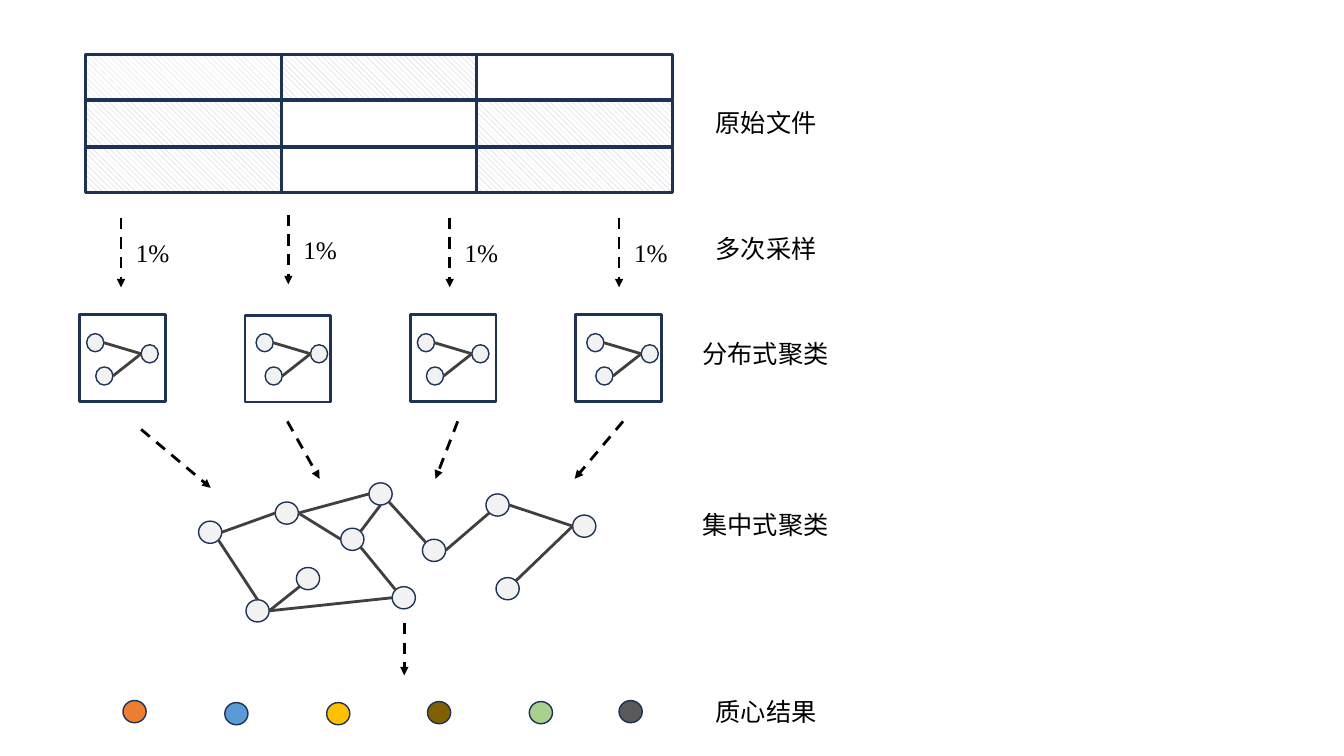
"""Build the slide on sampled, distributed and centralised clustering."""
from dataclasses import dataclass
from itertools import product
from math import copysign, sqrt

from lxml.etree import SubElement
from pptx import Presentation
from pptx.dml.color import RGBColor
from pptx.enum.dml import MSO_LINE, MSO_PATTERN
from pptx.enum.shapes import MSO_CONNECTOR, MSO_SHAPE
from pptx.enum.text import MSO_AUTO_SIZE as AutoSize
from pptx.oxml.ns import qn
from pptx.shapes.autoshape import Shape
from pptx.shapes.connector import Connector
from pptx.slide import Slide
from pptx.util import Pt

EMU_PER_PX = 9144


@dataclass(frozen=True)
class Theme:
    outline: str = "1E3256"
    edge: str = "404040"
    ink: str = "000000"
    paper: str = "FFFFFF"
    node: str = "F2F2F2"
    hatch: str = "BFBFBF"
    pale_hatch: str = "D0CECE"
    centroids: tuple[str, ...] = ("ED7D31", "5B9BD5", "FFC000", "806000", "A9D18E", "595959")
    latin: str = "Times New Roman"
    chinese: str = "Noto Sans CJK SC"
    text_size: int = 18


@dataclass(frozen=True)
class Box:
    left: int
    top: int
    width: int
    height: int


@dataclass(frozen=True)
class Edge:
    start: int
    start_side: str
    end: int
    end_side: str


@dataclass(frozen=True)
class Graph:
    nodes: tuple[tuple[int, int], ...]
    edges: tuple[Edge, ...]
    node_width: int
    node_height: int


@dataclass(frozen=True)
class Sample:
    arrow_x: int
    arrow_top: int
    frame_left: int
    frame_top: int
    graph_left: int
    merge_start: tuple[int, int]
    merge_end: tuple[int, int]


@dataclass(frozen=True)
class Label:
    text: str
    top: int


THEME = Theme()
SIDES = {"N": (0, -1), "NE": (1, -1), "E": (1, 0), "SE": (1, 1),
         "S": (0, 1), "SW": (-1, 1), "W": (-1, 0), "NW": (-1, -1)}
BLANK_CELLS = {(0, 2), (1, 1), (2, 1)}
SAMPLES = (
    Sample(120, 216, 79, 312, 86, (140, 426), (209, 484)),
    Sample(286, 213, 243, 313, 254, (285, 418), (317, 475)),
    Sample(446, 216, 407, 312, 414, (454, 418), (432, 475)),
    Sample(614, 216, 571, 312, 582, (618, 418), (570, 475)),
)
SAMPLE_GRAPH = Graph(((0, 0), (9, 33), (54, 11)),
                     (Edge(0, "E", 2, "W"), Edge(1, "E", 2, "W")), 17, 18)
MERGED_GRAPH = Graph(
    ((273, 498), (294, 563), (338, 524), (389, 582), (419, 535), (366, 479),
     (482, 490), (492, 573), (568, 511), (244, 595), (197, 517)),
    (Edge(0, "E", 2, "W"), Edge(0, "E", 5, "W"), Edge(2, "SE", 3, "NW"),
     Edge(5, "SE", 4, "NW"), Edge(2, "NE", 5, "S"), Edge(10, "E", 0, "W"),
     Edge(10, "SE", 9, "N"), Edge(1, "SW", 9, "E"), Edge(3, "W", 9, "E"),
     Edge(6, "SW", 4, "E"), Edge(6, "E", 8, "W"), Edge(8, "W", 7, "NE")),
    23, 22)
CENTROID_SPOTS = ((122, 695), (223, 697), (324, 697), (424, 696), (525, 696), (614, 695))
LABELS = (Label("原始文件", 102), Label("多次采样", 227), Label("分布式聚类", 331),
          Label("集中式聚类", 500), Label("质心结果", 686))
LABEL_CENTER = 760


def px(length: float) -> int:
    return round(length * EMU_PER_PX)


def rgb(colour: str) -> RGBColor:
    return RGBColor.from_string(colour)


def add_shape(page: Slide, kind: MSO_SHAPE, box: Box, weight: float,
              fill: str | None = None, hatch: str | None = None) -> Shape:
    shape = page.shapes.add_shape(kind, px(box.left), px(box.top), px(box.width), px(box.height))
    shape.shadow.inherit = False
    shape.line.color.rgb = rgb(THEME.outline)
    shape.line.width = Pt(weight)
    if hatch:
        shape.fill.patterned()
        shape.fill.pattern = MSO_PATTERN.WIDE_DOWNWARD_DIAGONAL
        shape.fill.fore_color.rgb = rgb(hatch)
        shape.fill.back_color.rgb = rgb(THEME.paper)
    elif fill:
        shape.fill.solid()
        shape.fill.fore_color.rgb = rgb(fill)
    else:
        shape.fill.background()
    return shape


def add_line(page: Slide, start: tuple[float, float], end: tuple[float, float],
             colour: str) -> Connector:
    line = page.shapes.add_connector(MSO_CONNECTOR.STRAIGHT, *map(px, (*start, *end)))
    line.line.color.rgb = rgb(colour)
    line.line.width = Pt(2)
    SubElement(line._element.spPr, qn("a:effectLst"))
    return line


def add_arrow(page: Slide, start: tuple[int, int], end: tuple[int, int]) -> None:
    arrow = add_line(page, start, end, THEME.ink)
    arrow.line.dash_style = MSO_LINE.DASH
    SubElement(arrow.line._get_or_add_ln(), qn("a:tailEnd"), type="triangle")


def add_text(page: Slide, text: str, box: Box, *, font: str) -> None:
    frame = page.shapes.add_textbox(px(box.left), px(box.top), px(box.width), px(box.height)).text_frame
    frame.word_wrap = False
    frame.auto_size = AutoSize.SHAPE_TO_FIT_TEXT
    span = frame.paragraphs[0].add_run()
    span.text = text
    span.font.size = Pt(THEME.text_size)
    span.font.color.rgb = rgb(THEME.ink)
    span.font.name = font
    SubElement(span.font._element, qn("a:ea"), typeface=font)


def side_point(graph: Graph, node: int, side: str) -> tuple[float, float]:
    left, top = graph.nodes[node]
    across, down = SIDES[side]
    reach = 1 / sqrt(abs(across) + abs(down))
    return (left + graph.node_width / 2 * (1 + copysign(reach, across) * abs(across)),
            top + graph.node_height / 2 * (1 + copysign(reach, down) * abs(down)))


def add_graph(page: Slide, graph: Graph, left: int = 0, top: int = 0) -> None:
    for x, y in graph.nodes:
        box = Box(left + x, top + y, graph.node_width, graph.node_height)
        add_shape(page, MSO_SHAPE.OVAL, box, 1, THEME.node)
    for edge in graph.edges:
        ends = (side_point(graph, edge.start, edge.start_side),
                side_point(graph, edge.end, edge.end_side))
        start, end = ((left + x, top + y) for x, y in ends)
        add_line(page, start, end, THEME.edge)


def add_file_blocks(page: Slide) -> None:
    for row, column in product(range(3), repeat=2):
        hatch = THEME.hatch if row or column else THEME.pale_hatch
        add_shape(page, MSO_SHAPE.RECTANGLE, Box(85 + 194 * column, 54 + 46 * row, 194, 45), 2.25,
                  hatch=None if (row, column) in BLANK_CELLS else hatch)


def add_sample(page: Slide, sample: Sample) -> None:
    x, top = sample.arrow_x, sample.arrow_top
    add_arrow(page, (x, top), (x, top + 69))
    add_text(page, "1%", Box(x + 5, top + 15, 57, 40), font=THEME.latin)
    add_shape(page, MSO_SHAPE.RECTANGLE, Box(sample.frame_left, sample.frame_top, 85, 86), 2)
    add_graph(page, SAMPLE_GRAPH, sample.graph_left, 331)
    add_arrow(page, sample.merge_start, sample.merge_end)


def main() -> None:
    deck = Presentation()
    deck.slide_width, deck.slide_height = px(1333), px(750)
    page = deck.slides.add_slide(deck.slide_layouts[6])
    add_file_blocks(page)
    for sample in SAMPLES:
        add_sample(page, sample)
    add_graph(page, MERGED_GRAPH)
    add_arrow(page, (401, 618), (401, 670))
    for (left, top), colour in zip(CENTROID_SPOTS, THEME.centroids):
        add_shape(page, MSO_SHAPE.OVAL, Box(left, top, 23, 22), 1, colour)
    for label in LABELS:
        width = 25 * len(label.text) + 21
        add_text(page, label.text, Box(LABEL_CENTER - width // 2, label.top, width, 40), font=THEME.chinese)
    deck.save("out.pptx")


if __name__ == "__main__":
    main()
